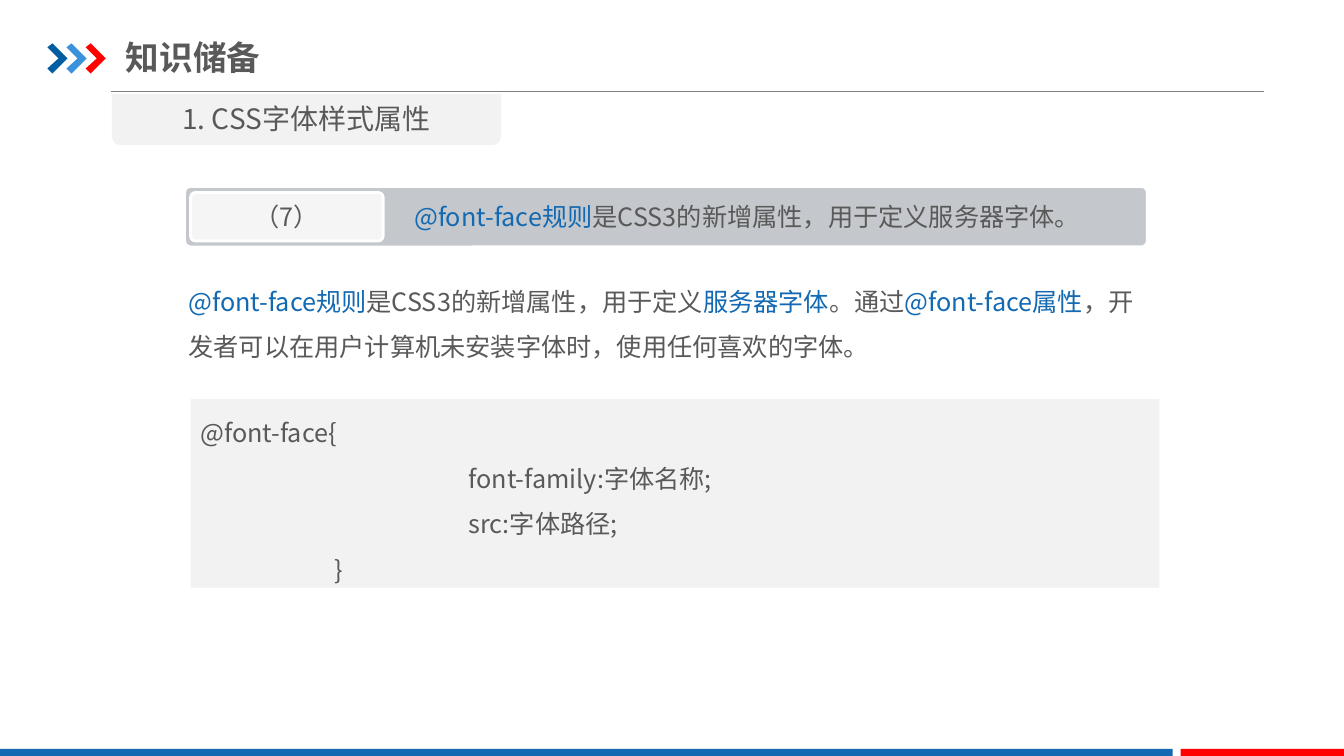
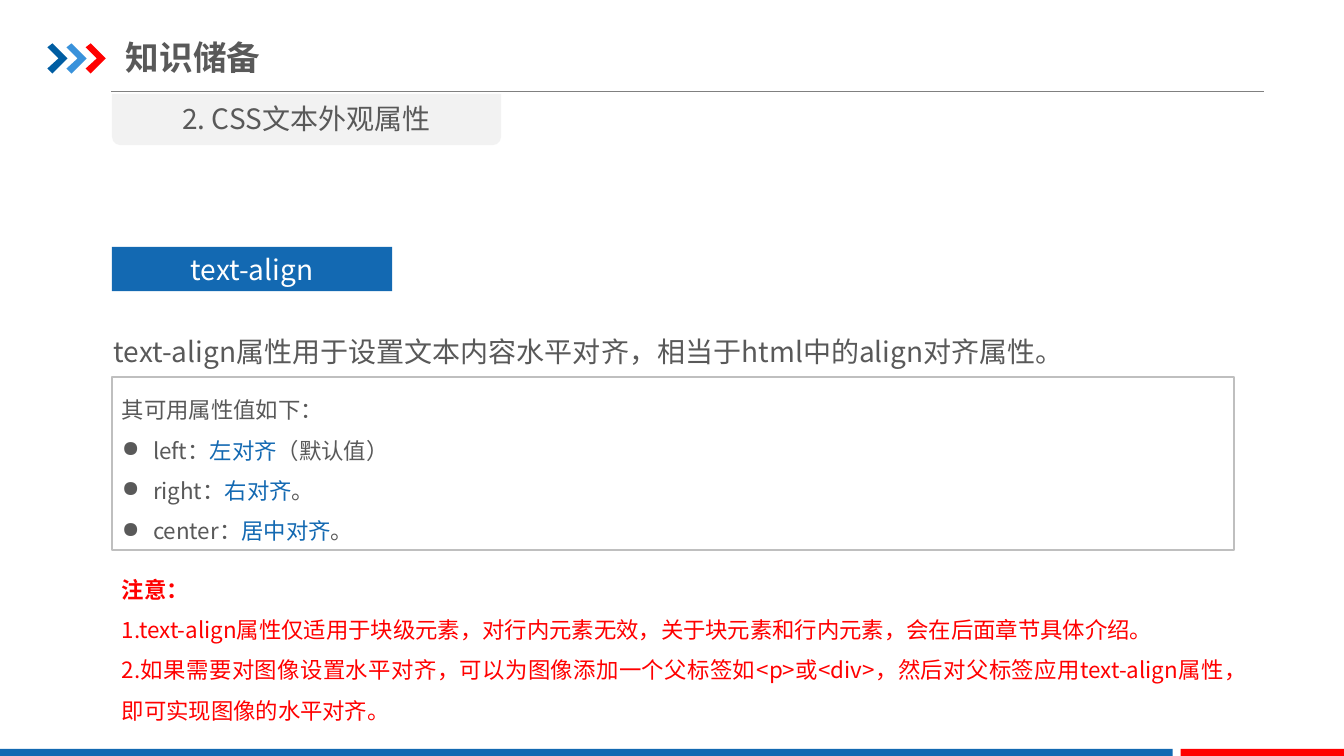
from lxml import etree
from pptx import Presentation
from pptx.dml.color import RGBColor
from pptx.enum.shapes import MSO_CONNECTOR, MSO_SHAPE
from pptx.enum.text import MSO_ANCHOR, PP_ALIGN
from pptx.oxml.ns import qn
from pptx.util import Pt

PX = 9144
FONT = "Noto Sans CJK SC"
RECT = MSO_SHAPE.RECTANGLE
ROUNDED = MSO_SHAPE.ROUNDED_RECTANGLE
TAB_SHAPE = MSO_SHAPE.ROUND_2_SAME_RECTANGLE
STRAIGHT = MSO_CONNECTOR.STRAIGHT
LEFT, CENTER, JUSTIFY = PP_ALIGN.LEFT, PP_ALIGN.CENTER, PP_ALIGN.JUSTIFY
TOP, MIDDLE = MSO_ANCHOR.TOP, MSO_ANCHOR.MIDDLE

COLORS = {
    "text": "595959",
    "blue": "1369B2",
    "navy": "005DA2",
    "sky": "3992DB",
    "red": "FF0000",
    "white": "FFFFFF",
    "panel": "F2F2F2",
    "bar": "C4C7CB",
    "badge": "F5F5F6",
    "rule": "808080",
    "border": "BFBFBF",
}
CHEVRON = [(0, 4), (5, 0), (20, 15), (5, 30), (0, 25), (11, 15)]


def rgb(name):
    return RGBColor.from_string(COLORS[name])


class Deck:
    def __init__(self, width, height):
        self.prs = Presentation()
        self.prs.slide_width = width * PX
        self.prs.slide_height = height * PX
        self.slide = None

    def new_slide(self, title, section):
        self.slide = self.prs.slides.add_slide(self.prs.slide_layouts[6])
        self.rule(110, 91, 1254)
        for index, color in enumerate(("navy", "sky", "red")):
            self.chevron(47 + 19 * index, 43, color)
        self.box(0, 743, 1163, 9, "blue")
        self.box(1171, 743, 163, 9, "red")
        heading = self.text(125, 29, 426, 55, [title], 24, anchor=MIDDLE, inset=0)
        heading.text_frame.paragraphs[0].runs[0].font.bold = True
        self.box(111, 93, 386, 51, "panel", kind=TAB_SHAPE).rotation = 180
        self.text(111, 96, 386, 44, [section], 20, align=CENTER)

    def rule(self, left, top, right):
        line = self.slide.shapes.add_connector(
            STRAIGHT, left * PX, top * PX, right * PX, top * PX)
        line.line.color.rgb = rgb("rule")
        line.line.width = Pt(0.75)
        etree.SubElement(line._element.spPr, qn("a:effectLst"))

    def chevron(self, left, top, color):
        points = [(left + x, top + y) for x, y in CHEVRON]
        builder = self.slide.shapes.build_freeform(*points[0], scale=PX)
        builder.add_line_segments(points[1:], close=True)
        self.paint(builder.convert_to_shape(), color)

    def paint(self, shape, fill=None, border=None, weight=1.5):
        shape.shadow.inherit = False
        if fill:
            shape.fill.solid()
            shape.fill.fore_color.rgb = rgb(fill)
        else:
            shape.fill.background()
        if border:
            shape.line.color.rgb = rgb(border)
            shape.line.width = Pt(weight)
        else:
            shape.line.fill.background()

    def box(self, left, top, width, height, fill=None, border=None, weight=1.5,
            kind=RECT):
        shape = self.slide.shapes.add_shape(
            kind, left * PX, top * PX, width * PX, height * PX)
        self.paint(shape, fill, border, weight)
        if kind == ROUNDED:
            shape.adjustments[0] = 0.1
        return shape

    def text(self, left, top, width, height, paragraphs, size, anchor=TOP,
             inset=10, **style):
        area = self.slide.shapes.add_textbox(
            left * PX, top * PX, width * PX, height * PX)
        self.set_text(area, paragraphs, size, anchor, inset, **style)
        return area

    def set_text(self, shape, paragraphs, size, anchor=MIDDLE, inset=10,
                 align=LEFT, spacing=1, color="text", tabs=(), hang=0):
        frame = shape.text_frame
        frame.word_wrap = True
        frame.vertical_anchor = anchor
        frame.margin_left = frame.margin_right = inset * PX
        frame.margin_top = frame.margin_bottom = 5 * PX
        for index, parts in enumerate(paragraphs):
            paragraph = frame.add_paragraph() if index else frame.paragraphs[0]
            paragraph.alignment = align
            paragraph.line_spacing = spacing
            properties = paragraph._p.get_or_add_pPr()
            if hang:
                properties.set("marL", str(hang * PX))
                properties.set("indent", str(-hang * PX))
                if index:
                    etree.SubElement(properties, qn("a:buChar"), char="●")
            if tabs:
                stops = etree.SubElement(properties, qn("a:tabLst"))
                for stop in tabs:
                    etree.SubElement(stops, qn("a:tab"), pos=str(stop * PX), algn="l")
            if isinstance(parts, str):
                parts = [(parts, color)]
            for words, tint in parts:
                run = paragraph.add_run()
                run.text = words
                run.font.size = Pt(size)
                run.font.color.rgb = rgb(tint)
                run.font.name = FONT
                etree.SubElement(run._r.get_or_add_rPr(), qn("a:ea"), typeface=FONT)


def font_face_slide(deck):
    deck.new_slide("知识储备", "1. CSS字体样式属性")
    rule_name = ("@font-face规则", "blue")
    deck.text(177, 264, 982, 101, [[
        rule_name,
        ("是CSS3的新增属性，用于定义", "text"),
        ("服务器字体", "blue"),
        ("。通过", "text"),
        ("@font-face属性", "blue"),
        ("，开发者可以在用户计算机未安装字体时，使用任何喜欢的字体。", "text"),
    ]], 18, spacing=1.5)
    syntax = deck.box(189, 396, 961, 187, "panel")
    deck.set_text(syntax, [
        "@font-face{",
        "\t\tfont-family:字体名称;",
        "\t\tsrc:字体路径;",
        "\t}",
    ], 18, spacing=1.5, tabs=(133, 266))
    deck.box(183, 185, 955, 60, "bar", "white", 2, ROUNDED)
    deck.box(189, 191, 191, 48, "badge", "white", 2, ROUNDED)
    deck.text(189, 195, 191, 40, ["（7）"], 18, align=CENTER)
    deck.text(401, 195, 719, 40, [[
        rule_name,
        ("是CSS3的新增属性，用于定义服务器字体。", "text"),
    ]], 18)


def text_align_slide(deck):
    deck.new_slide("知识储备", "2. CSS文本外观属性")
    deck.text(103, 310, 1122, 55, [
        "text-align属性用于设置文本内容水平对齐，相当于html中的align对齐属性。",
    ], 20, spacing=1.5)
    values = [("left：", "左对齐", "（默认值）"),
              ("right：", "右对齐", "。"),
              ("center：", "居中对齐", "。")]
    value_list = deck.box(111, 374, 1113, 172, border="border")
    deck.set_text(value_list, ["其可用属性值如下："] + [
        list(zip(value, ("text", "blue", "text"))) for value in values
    ], 16, spacing=1.5, hang=31)
    property_label = deck.box(111, 245, 278, 44, "blue")
    deck.set_text(property_label, ["text-align"], 20, align=CENTER, color="white")
    caution = deck.text(111, 553, 1113, 172, [
        "注意：",
        "1.text-align属性仅适用于块级元素，对行内元素无效，关于块元素和行内元素，会在后面章节具体介绍。",
        "2.如果需要对图像设置水平对齐，可以为图像添加一个父标签如<p>或<div>，"
        "然后对父标签应用text-align属性，即可实现图像的水平对齐。",
    ], 16, align=JUSTIFY, spacing=1.5, color="red")
    caution.text_frame.paragraphs[0].runs[0].font.bold = True


def main():
    deck = Deck(1333, 750)
    font_face_slide(deck)
    text_align_slide(deck)
    deck.prs.save("out.pptx")


if __name__ == "__main__":
    main()
